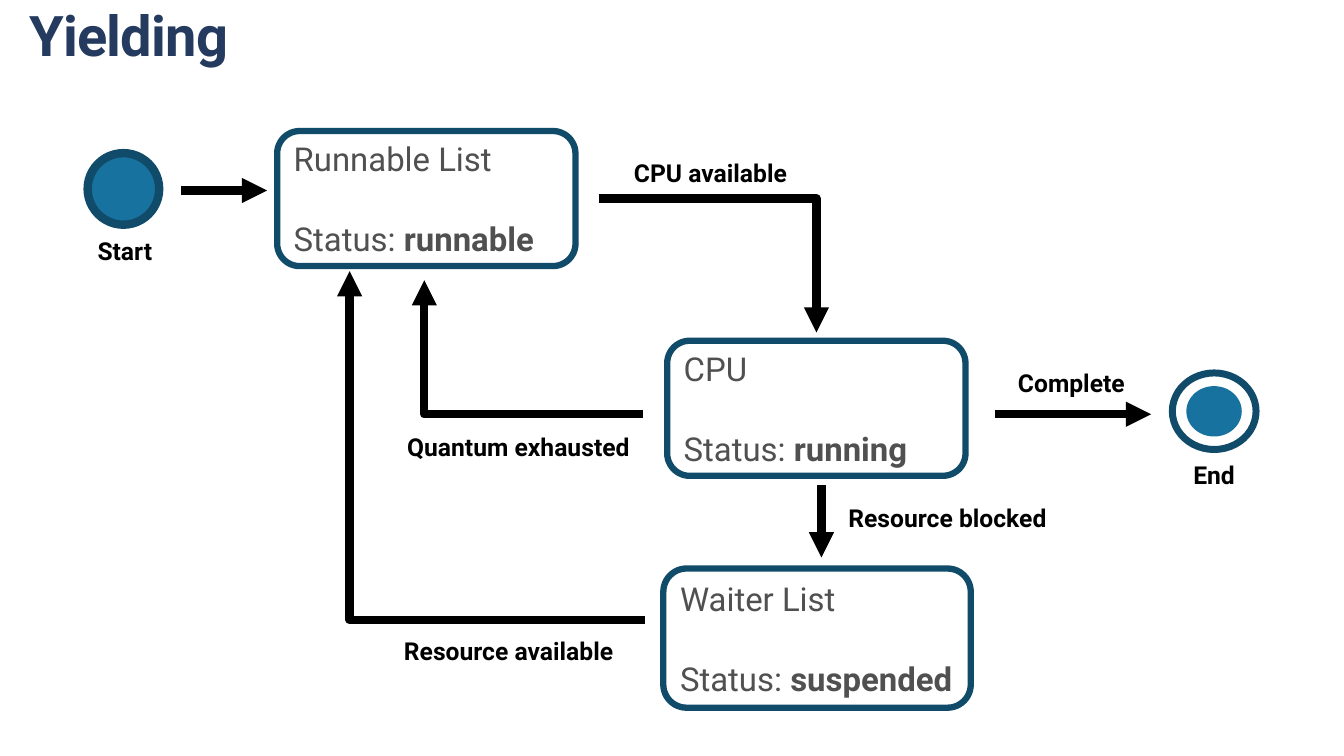
from lxml import etree
from pptx import Presentation
from pptx.dml.color import RGBColor
from pptx.enum import shapes, text
from pptx.oxml.ns import qn
from pptx.util import Pt

NAVY = RGBColor(0x24, 0x3A, 0x5E)
BLUE = RGBColor(0x18, 0x72, 0xA0)
DARK_BLUE = RGBColor(0x10, 0x4C, 0x6A)
GREY = RGBColor(0x50, 0x50, 0x50)
BLACK = RGBColor(0, 0, 0)
WHITE = RGBColor(0xFF, 0xFF, 0xFF)

TITLE_FONT = {"name": "Roboto", "size": Pt(40), "bold": True}
LABEL_FONT = {"name": "Roboto", "size": Pt(17.6), "bold": True}
STATE_FONT = {"name": "Roboto", "size": Pt(23.5), "bold": False}

# left, top, width, height, place, status
STATES = [
    (198, 93.6, 213.1, 96.5, "Runnable List", "runnable"),
    (476.6, 243.4, 213.1, 96.5, "CPU", "running"),
    (473.8, 406.1, 219.6, 99.4, "Waiter List", "suspended"),
]
# left, top, width, wording
LABELS = [
    (62.6, 164.9, 54.7, "Start"),
    (845.3, 324.7, 45.4, "End"),
    (445.7, 109.4, 128.2, "CPU available"),
    (283.7, 304.6, 183.6, "Quantum exhausted"),
    (281.5, 450.7, 168.5, "Resource available"),
    (599, 355.7, 160.6, "Resource blocked"),
    (720, 259.2, 95, "Complete"),
]
# start x, start y, end x, end y
TRANSITIONS = [
    (129.6, 136.1, 190.8, 136.1),
    (710.6, 295.9, 822.2, 295.9),
    (586.8, 346.3, 586.8, 398.2),
    (460.8, 442.8, 249.8, 193.7),
    (427.7, 141.8, 583.2, 237.6),
    (459.4, 295.9, 303.1, 200.2),
]


def add_run(paragraph, wording, font_format, color, **changes):
    run = paragraph.add_run()
    run.text = wording
    for key, value in {**font_format, **changes}.items():
        setattr(run.font, key, value)
    run.font.color.rgb = color
    return run


def add_outline(slide, preset, box, fill=None, line=None, weight=0):
    outline = slide.shapes.add_shape(preset, *map(Pt, box))
    outline.shadow.inherit = False
    if fill is None:
        outline.fill.background()
    else:
        outline.fill.solid()
        outline.fill.fore_color.rgb = fill
    if line is None:
        outline.line.fill.background()
    else:
        outline.line.color.rgb = line
        outline.line.width = Pt(weight)
    return outline


def add_state(slide, left, top, width, height, place, status):
    state = add_outline(slide, shapes.MSO_SHAPE.ROUNDED_RECTANGLE,
                        (left, top, width, height), WHITE, DARK_BLUE, 4.5)
    frame = state.text_frame
    frame.vertical_anchor = text.MSO_ANCHOR.MIDDLE
    place_line, status_line = frame.paragraphs[0], frame.add_paragraph()
    for paragraph in (place_line, status_line):
        paragraph.alignment = text.PP_ALIGN.LEFT
    status_line.space_before = Pt(29)
    add_run(place_line, place, STATE_FONT, GREY)
    add_run(status_line, "Status: ", STATE_FONT, GREY)
    add_run(status_line, status, STATE_FONT, GREY, bold=True)


def add_label(slide, left, top, width, wording):
    label = slide.shapes.add_textbox(Pt(left), Pt(top), Pt(width), Pt(28.8))
    label.text_frame.word_wrap = False
    label.text_frame.auto_size = text.MSO_AUTO_SIZE.SHAPE_TO_FIT_TEXT
    add_run(label.text_frame.paragraphs[0], wording, LABEL_FONT, BLACK)


def add_transition(slide, x1, y1, x2, y2):
    bent = x1 != x2 and y1 != y2
    kind = shapes.MSO_CONNECTOR.ELBOW if bent else shapes.MSO_CONNECTOR.STRAIGHT
    arrow = slide.shapes.add_connector(kind, Pt(x1), Pt(y1), Pt(x2), Pt(y2))
    arrow.line.color.rgb = BLACK
    arrow.line.width = Pt(6)
    properties = arrow._element.spPr
    if bent:  # one corner: across, then up or down
        properties.find(qn("a:prstGeom")).set("prst", "bentConnector2")
    etree.SubElement(properties.find(qn("a:ln")), qn("a:tailEnd"), type="triangle")
    etree.SubElement(properties, qn("a:effectLst"))


def set_title(slide, wording):
    title = slide.shapes.title
    place = {"left": Pt(20.9), "top": Pt(12.2), "width": Pt(918), "height": Pt(70.6)}
    for key, value in place.items():
        setattr(title, key, value)
    frame = title.text_frame
    frame_format = {"margin_left": 0, "margin_top": 0, "margin_right": 0,
                    "margin_bottom": 0, "word_wrap": True,
                    "vertical_anchor": text.MSO_ANCHOR.TOP,
                    "auto_size": text.MSO_AUTO_SIZE.NONE}
    for key, value in frame_format.items():
        setattr(frame, key, value)
    heading = frame.paragraphs[0]
    heading.alignment = text.PP_ALIGN.LEFT
    heading.line_spacing = Pt(36.2)
    run = add_run(heading, wording, TITLE_FONT, NAVY)
    run._r.get_or_add_rPr().set("spc", "-50")


def main():
    deck = Presentation()
    deck.slide_width, deck.slide_height = Pt(960), Pt(540)
    slide = deck.slides.add_slide(deck.slide_layouts[5])
    set_title(slide, "Yielding")

    # Start and end markers
    oval = shapes.MSO_SHAPE.OVAL
    add_outline(slide, oval, (62.6, 109.4, 51.1, 51.1), BLUE, DARK_BLUE, 6)
    add_outline(slide, oval, (847.4, 275.8, 39.6, 36), BLUE)
    add_outline(slide, oval, (837.4, 266.4, 59.8, 54.7), None, DARK_BLUE, 5)

    # Transitions, their labels and the states
    for transition in TRANSITIONS:
        add_transition(slide, *transition)
    for label in LABELS:
        add_label(slide, *label)
    for state in STATES:
        add_state(slide, *state)

    deck.save("out.pptx")


if __name__ == "__main__":
    main()
